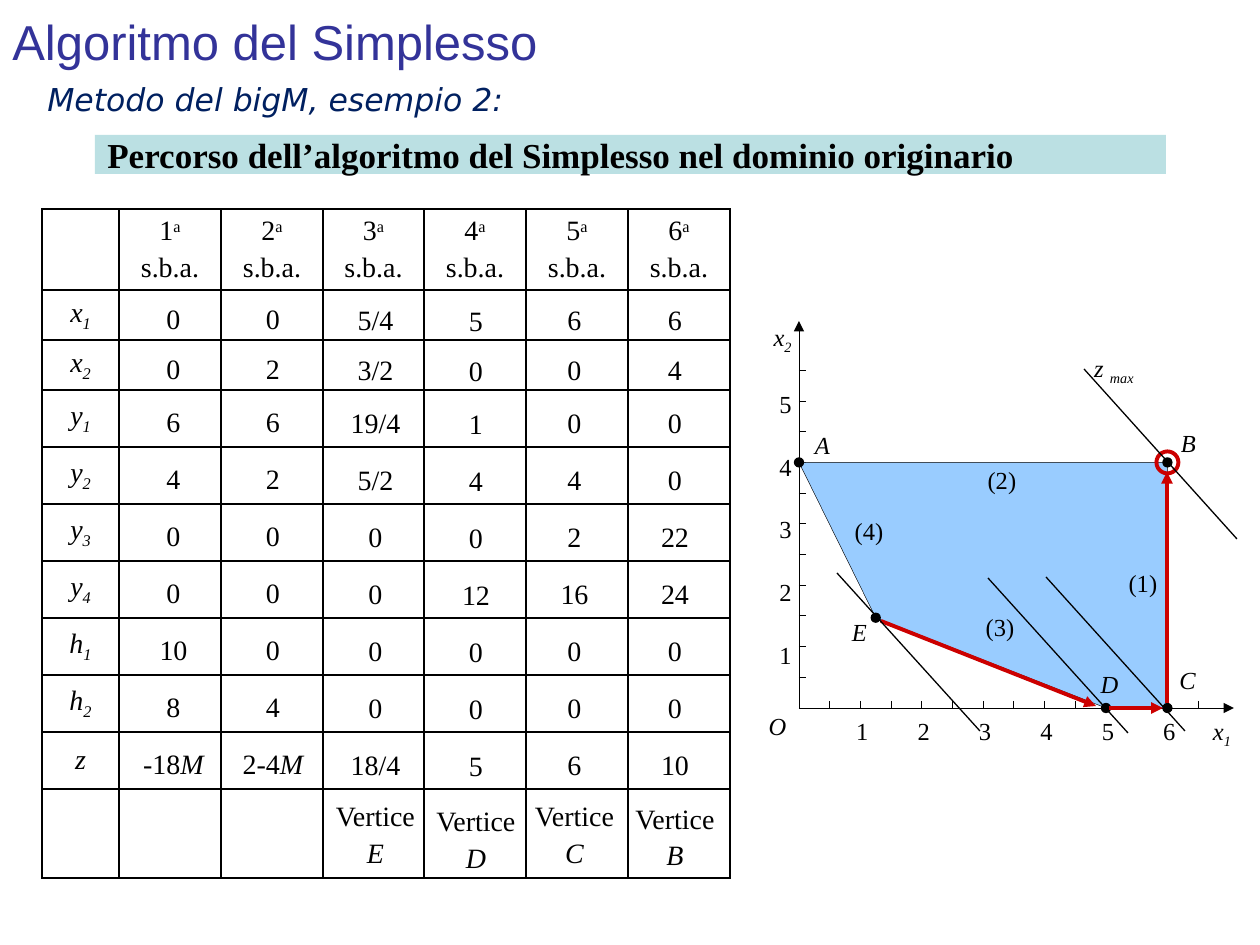
import pptx
import pptx.dml.color
import pptx.enum.shapes
import pptx.enum.text
import pptx.oxml
import pptx.oxml.ns
import pptx.util

RGB = pptx.dml.color.RGBColor
ALIGN = pptx.enum.text.PP_ALIGN
ANCHOR = pptx.enum.text.MSO_ANCHOR
SHAPE = pptx.enum.shapes.MSO_SHAPE
qn = pptx.oxml.ns.qn

BLACK, RED = RGB(0, 0, 0), RGB(0xCC, 0, 0)
TITLE_BLUE, NAVY = RGB(0x33, 0x33, 0x99), RGB(0, 0x20, 0x60)
BAND, REGION = RGB(0xBB, 0xE0, 0xE3), RGB(0x99, 0xCC, 0xFF)
SERIF = "Times New Roman"
NO_TABLE_STYLE = "{2D5ABB26-0587-4C30-8999-92F81FD0307C}"

# A paragraph is a list of runs (text, style): "i" italic, "_" subscript, "^" superscript
SOLUTIONS = ["1", "2", "3", "4", "5", "6"]
VARIABLES = ["x1", "x2", "y1", "y2", "y3", "y4", "h1", "h2", "z"]
GRID_WIDTHS = [77, 102, 102, 101, 102, 102, 102]
VALUE_ROWS = [50, 50] + [57] * 7
GRID_ROWS = [81] + VALUE_ROWS + [89]
# left, top, width, height of the vertex row, values, vertex
COLUMNS = [
    (121, 295, 105, 57, "0 0 6 4 0 0 10 8 -18M", ""),
    (214, 295, 118, 87, "0 2 6 2 0 0 0 4 2-4M", ""),
    (323, 296, 105, 81, "5/4 3/2 19/4 5/2 0 0 0 0 18/4", "E"),
    (417, 297, 118, 89, "5 0 1 4 0 12 0 0 5", "D"),
    (522, 296, 105, 81, "6 0 0 4 2 16 0 0 6", "C"),
    (616, 296, 118, 86, "6 4 0 0 22 24 0 0 10", "B"),
]

ORIGIN, UNIT = (799, 708), 61.4
VERTICES = {"A": (0, 4), "B": (6, 4), "C": (6, 0), "D": (5, 0), "E": (1.25, 1.47)}
POINT_LABELS = {"O": (753, 711), "A": (798, 430), "B": (1164, 428),
                "C": (1163, 665), "D": (1085, 669), "E": (835, 617)}
CONSTRAINTS = {"(1)": (1104, 562), "(2)": (963, 459), "(3)": (961, 606), "(4)": (830, 510)}
LEVEL_LINES = [(837, 573, 980, 731), (988, 578, 1128, 733),
               (1046, 577, 1185, 731), (1084, 369, 1237, 539)]
PATH_ARROWS = [(881, 621, 1096, 706), (1109, 708, 1163, 708), (1167, 703, 1167, 472)]


def px(n):
    return pptx.util.Emu(round(n * 914400 / 126))


def element(tag, attributes="", content=""):
    """Return a new element of the DrawingML namespace."""
    namespace = pptx.oxml.ns.nsdecls("a")
    return pptx.oxml.parse_xml(f"<a:{tag} {namespace} {attributes}>{content}</a:{tag}>")


def add_runs(p, runs, size, font=SERIF, color=BLACK, bold=False):
    for text, style in runs:
        r = p.add_run()
        r.text = text
        f = r.font
        f.name, f.size, f.bold, f.italic = font, pptx.util.Pt(size), bold, "i" in style
        f.color.rgb = color
        if "_" in style or "^" in style:
            r._r.get_or_add_rPr().set("baseline", "-25000" if "_" in style else "30000")


def add_text(box, paragraphs, size, align=ALIGN.LEFT, inset=True, anchor=ANCHOR.TOP, **look):
    sp = slide.shapes.add_textbox(*map(px, box))
    tf = sp.text_frame
    tf.word_wrap, tf.vertical_anchor = True, anchor
    if not inset:
        tf.margin_left = tf.margin_right = tf.margin_top = tf.margin_bottom = 0
    for i, runs in enumerate(paragraphs):
        p = tf.add_paragraph() if i else tf.paragraphs[0]
        p.alignment = align
        add_runs(p, runs, size, **look)
    return sp


def add_line(x1, y1, x2, y2, width, color=BLACK, arrow=False):
    c = slide.shapes.add_connector(pptx.enum.shapes.MSO_CONNECTOR.STRAIGHT,
                                   px(x1), px(y1), px(x2), px(y2))
    c.line.color.rgb, c.line.width = color, pptx.util.Pt(width)
    if arrow:
        c._element.spPr.find(qn("a:ln")).append(element("tailEnd", 'type="triangle"'))
    c._element.spPr.append(element("effectLst"))


def add_circle(x, y, diameter, width, color, fill=None):
    box = (x - diameter / 2, y - diameter / 2, diameter, diameter)
    sp = slide.shapes.add_shape(SHAPE.OVAL, *map(px, box))
    style_shape(sp, fill, color, width)


def style_shape(sp, fill=None, line=None, width=0):
    sp.shadow.inherit = False
    if fill is None:
        sp.fill.background()
    else:
        sp.fill.solid()
        sp.fill.fore_color.rgb = fill
    if line is None:
        sp.line.fill.background()
    else:
        sp.line.color.rgb, sp.line.width = line, pptx.util.Pt(width)


def add_table(left, top, widths, heights, cells, bordered=False):
    """cells[row][column] is a list of paragraphs."""
    box = (left, top, sum(widths), sum(heights))
    table = slide.shapes.add_table(len(heights), len(widths), *map(px, box)).table
    table.first_row = table.horz_banding = False
    table._tbl.tblPr.find(qn("a:tableStyleId")).text = NO_TABLE_STYLE
    for column, width in zip(table.columns, widths):
        column.width = px(width)
    for row, height, contents in zip(table.rows, heights, cells):
        row.height = px(height)
        for cell, paragraphs in zip(row.cells, contents):
            cell.vertical_anchor = ANCHOR.MIDDLE
            cell.margin_top = cell.margin_bottom = px(4)
            if bordered:
                add_borders(cell)
            cell.fill.background()
            for i, runs in enumerate(paragraphs):
                p = cell.text_frame.add_paragraph() if i else cell.text_frame.paragraphs[0]
                p.alignment = ALIGN.CENTER
                if i:
                    p.space_before = pptx.util.Pt(3)
                add_runs(p, runs, 16)


def add_borders(cell):
    color = f'<a:solidFill><a:srgbClr val="{BLACK}"/></a:solidFill>'
    for side in ("lnL", "lnR", "lnT", "lnB"):
        cell._tc.get_or_add_tcPr().append(element(side, 'w="12700"', color))


def variable(name):
    return [(name[0], "i")] + [(digit, "i_") for digit in name[1:]]


def value(text):
    return [(text[:-1], ""), ("M", "i")] if text.endswith("M") else [(text, "")]


def plot(x, y):
    """Turn diagram coordinates into px on the slide."""
    return ORIGIN[0] + x * UNIT, ORIGIN[1] - y * UNIT


def add_axes():
    x0, y0 = ORIGIN
    add_line(x0, y0, 1234, y0, 0.5, arrow=True)
    add_line(x0, y0, x0, 321, 0.5, arrow=True)
    for i in range(1, 14):
        x = plot(i / 2, 0)[0]
        add_line(x, y0 - 7, x, y0, 0.5)
    for i in range(1, 12):
        y = plot(0, i / 2)[1]
        add_line(x0, y, x0 + 7, y, 0.5)

    left = 814
    numbers = [("".join(f"\t{n}" for n in range(1, 7)) + "\t", "")]
    sp = add_text((left, 716, 430, 68), [[]], 14, inset=False)
    p = sp.text_frame.paragraphs[0]
    tabs = element("tabLst")
    for x in [plot(n, 0)[0] + 2 for n in range(1, 7)] + [1222]:
        tabs.append(element("tab", f'pos="{int(px(x - left))}" algn="ctr"'))
    p._p.get_or_add_pPr().append(tabs)
    add_runs(p, numbers + variable("x1"), 14)

    labels = [variable("x2")] + [[(str(n), "")] for n in range(5, 0, -1)]
    sp = add_text((726, 314, 78, 384), labels, 14, ALIGN.RIGHT)
    for i, p in enumerate(sp.text_frame.paragraphs):
        p.line_spacing = 1.05
        if i:
            p.space_before = px(32)


def add_region():
    corners = [tuple(map(px, plot(*VERTICES[name]))) for name in "DEABC"]
    fb = slide.shapes.build_freeform(*corners[0])
    fb.add_line_segments(corners[1:], close=True)
    style_shape(fb.convert_to_shape(), REGION, BLACK, 0.25)


prs = pptx.Presentation()
prs.slide_width, prs.slide_height = px(1260), px(945)
slide = prs.slides.add_slide(prs.slide_layouts[6])

add_axes()

band = (95, 135, 1071, 39)
style_shape(slide.shapes.add_shape(SHAPE.RECTANGLE, *map(px, band)), BAND)
add_text(band, [[("Percorso dell’algoritmo del Simplesso nel dominio originario", "")]], 20,
         anchor=ANCHOR.MIDDLE, bold=True)

header = [[]] + [[[(n, ""), ("a", "^")], [("s.b.a.", "")]] for n in SOLUTIONS]
body = [[[variable(name)]] + [[]] * 6 for name in VARIABLES]
add_table(42, 209, GRID_WIDTHS, GRID_ROWS, [header] + body + [[[]] * 7], bordered=True)
for left, top, width, last_row, values, vertex in COLUMNS:
    cells = [[[value(v)]] for v in values.split()]
    cells.append([[[("Vertice", "")], [(vertex, "i")]] if vertex else []])
    add_table(left, top, [width], VALUE_ROWS + [last_row], cells)

add_region()
add_text((1060, 353, 108, 48), [[("z ", "i"), ("max", "i_")]], 14, ALIGN.CENTER, inset=False)
for text, at in CONSTRAINTS.items():
    add_text((*at, 78, 72), [[(text, "")]], 14, ALIGN.CENTER)
add_circle(*plot(*VERTICES["B"]), 22, 2.25, RED)
for name, at in POINT_LABELS.items():
    add_text((*at, 49, 42), [[(name, "i")]], 14, ALIGN.CENTER, inset=False)
for vertex in VERTICES.values():
    add_circle(*plot(*vertex), 9, 0.75, BLACK, BLACK)
for ends in PATH_ARROWS:
    add_line(*ends, 2.25, RED, arrow=True)
for ends in LEVEL_LINES:
    add_line(*ends, 0.75)

add_text((0, -4, 1134, 89), [[("Algoritmo del Simplesso", "")]], 28,
         anchor=ANCHOR.MIDDLE, font="Arial", color=TITLE_BLUE)
add_text((35, 74, 1074, 50), [[("Metodo del bigM, esempio 2:", "i")]], 18,
         font="DejaVu Sans", color=NAVY)

prs.save("out.pptx")
